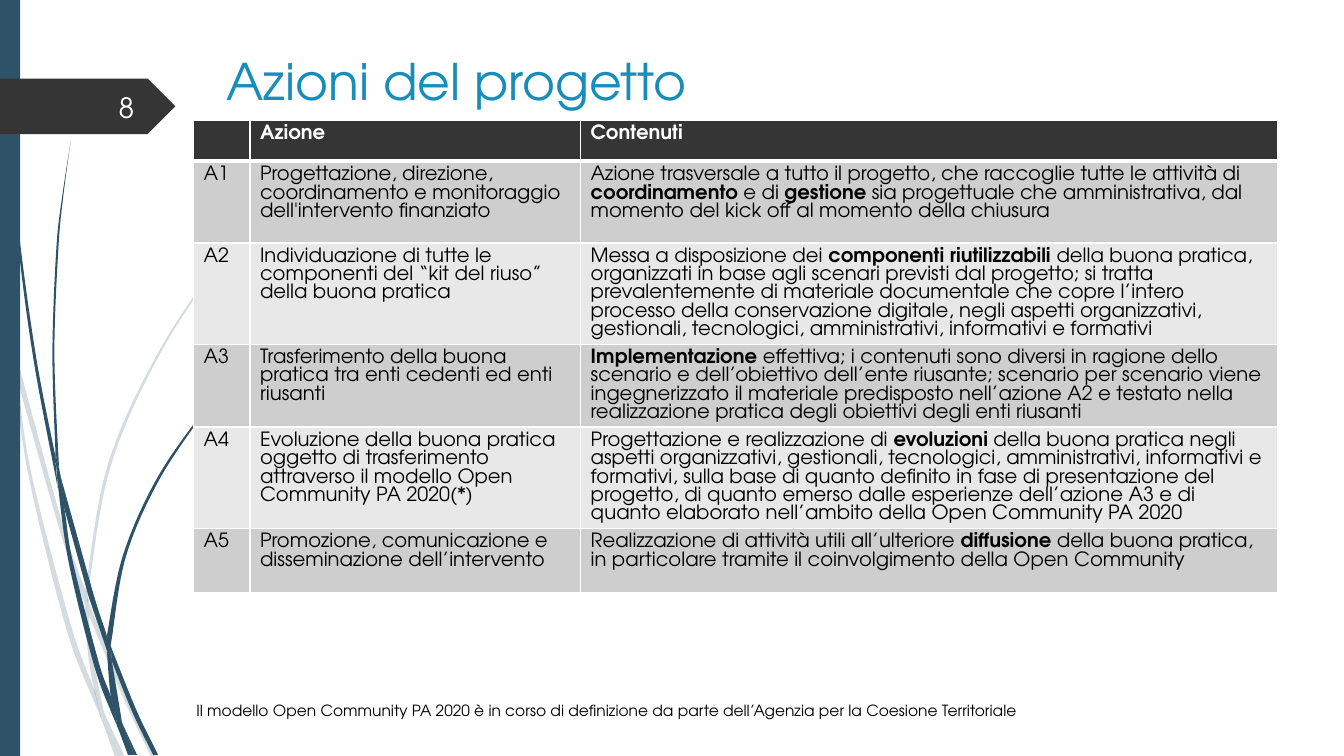
from lxml import etree
from pptx import Presentation
from pptx.dml.color import RGBColor
from pptx.enum.shapes import MSO_SHAPE
from pptx.enum.text import MSO_ANCHOR, MSO_AUTO_SIZE, PP_ALIGN
from pptx.oxml.ns import qn
from pptx.util import Emu, Pt

RECTANGLE, PENTAGON = MSO_SHAPE.RECTANGLE, MSO_SHAPE.PENTAGON
TOP, MIDDLE = MSO_ANCHOR.TOP, MSO_ANCHOR.MIDDLE
LEFT, RIGHT = PP_ALIGN.LEFT, PP_ALIGN.RIGHT
GROW = MSO_AUTO_SIZE.SHAPE_TO_FIT_TEXT
EMU_PER_PX = 9144
FONT = "TeX Gyre Adventor"
COLORS = {"grass": "2E5369", "dark": "353535", "title": "178DBB", "black": "000000",
          "white": "FFFFFF", "number": "FEFFFF", "odd": "CECECE", "even": "E8E8E8"}

PALE_BLADES = [
    ([(11, 350), (9, 322), (0, 282)], [(0, 299), (10, 344), (11, 350)]),
    ([(14, 345), (62, 520), (85, 586)], [(84, 599), (58, 522), (17, 376)]),
    ([(88, 596), (92, 607), (127, 692), (155, 751)], [(150, 751), (123, 694), (88, 610)]),
    ([(105, 711), (124, 751)], [(119, 751)]),
    ([(11, 350), (17, 376), (31, 469), (70, 619), (93, 683), (99, 707), (101, 714)],
     [(92, 693), (65, 621), (28, 470), (11, 350)]),
    ([(84, 599), (87, 646), (93, 683), (96, 692), (105, 711)],
     [(103, 706), (91, 646), (88, 610), (88, 608)]),
    ([(88, 596), (88, 584), (110, 462), (160, 349), (229, 245), (268, 198), (290, 175), (312, 154)],
     [(312, 153), (289, 175), (268, 197), (228, 244), (158, 348), (107, 461), (85, 584), (85, 586)]),
    ([(101, 714), (114, 751)], [(119, 751)]),
    ([(88, 608), (88, 610), (88, 596)], [(85, 586), (84, 599)]),
    ([(93, 683), (99, 707), (101, 714), (119, 751)], [(105, 711), (96, 692)]),
]
DARK_BLADES = [
    ([(3, 0), (4, 48), (7, 110), (17, 233), (33, 355), (56, 477), (57, 481)],
     [(55, 457), (55, 453), (36, 355), (19, 232), (8, 109), (5, 48), (4, 0)]),
    ([(60, 472), (93, 590), (106, 631), (106, 645)], [(88, 592), (64, 505)]),
    ([(110, 641), (113, 649), (136, 706), (157, 749)], [(152, 749), (132, 708), (111, 656)]),
    ([(57, 477), (64, 505), (72, 556), (98, 657), (110, 691), (116, 717), (117, 722)],
     [(111, 708), (93, 659), (68, 557), (57, 477)]),
    ([(70, 141), (63, 193), (58, 245), (54, 349), (58, 453), (60, 472)],
     [(55, 449), (52, 349), (56, 245), (62, 193), (70, 141)]),
    ([(122, 719), (136, 749)], [(133, 749)]),
    ([(57, 477), (64, 505), (60, 472)], [(55, 449), (55, 453)]),
    ([(106, 631), (122, 551), (156, 474), (204, 405), (231, 373), (245, 358), (260, 344)],
     [(261, 344), (245, 359), (231, 374), (205, 406), (158, 476), (125, 552), (111, 633), (110, 641)]),
    ([(117, 722), (127, 749)], [(131, 749)]),
    ([(106, 645), (110, 691), (116, 706), (122, 719)], [(121, 716), (111, 656), (109, 651)]),
    ([(106, 631), (110, 641), (111, 656)], [(109, 651), (106, 645)]),
    ([(110, 691), (116, 717), (117, 722), (130, 749)], [(133, 749), (122, 719), (116, 706)]),
]
COLUMN_WIDTHS = [56, 328, 692]
ROW_HEIGHTS = [41, 81, 57, 81, 58, 64]
ACTIONS = [
    ("", "**Azione**", "**Contenuti**"),
    ("A1", "Progettazione, direzione, coordinamento e monitoraggio dell'intervento finanziato",
     "Azione trasversale a tutto il progetto, che raccoglie tutte le attività di **coordinamento** "
     "e di **gestione** sia progettuale che amministrativa, dal momento del kick off al momento "
     "della chiusura"),
    ("A2", "Individuazione di tutte le componenti del “kit del riuso” della buona pratica",
     "Messa a disposizione dei **componenti riutilizzabili **della buona pratica, organizzati in "
     "base agli scenari previsti dal progetto; si tratta prevalentemente di materiale documentale "
     "che copre l’intero processo della conservazione digitale, negli aspetti organizzativi, "
     "gestionali, tecnologici, amministrativi, informativi e formativi"),
    ("A3", "Trasferimento della buona pratica tra enti cedenti ed enti riusanti",
     "**Implementazione** effettiva; i contenuti sono diversi in ragione dello scenario e "
     "dell’obiettivo dell’ente riusante; scenario per scenario viene ingegnerizzato il materiale "
     "predisposto nell’azione A2 e testato nella realizzazione pratica degli obiettivi degli enti "
     "riusanti"),
    ("A4", "Evoluzione della buona pratica oggetto di trasferimento attraverso il modello Open "
     "Community PA 2020(*)",
     "Progettazione e realizzazione di **evoluzioni** della buona pratica negli aspetti "
     "organizzativi, gestionali, tecnologici, amministrativi, informativi e formativi, sulla base "
     "di quanto definito in fase di presentazione del progetto, di quanto emerso dalle esperienze "
     "dell’azione A3 e di quanto elaborato nell’ambito della Open Community PA 2020"),
    ("A5", "Promozione, comunicazione e disseminazione dell’intervento",
     "Realizzazione di attività utili all’ulteriore **diffusione** della buona pratica, in "
     "particolare tramite il coinvolgimento della Open Community"),
]


def px(length):
    """Turn px into EMU."""
    return Emu(round(length * EMU_PER_PX))


def rgb(name):
    """Look up a named colour."""
    return RGBColor.from_string(COLORS[name])


def paint(shape, color):
    """Give a shape a flat fill without line or shadow."""
    shape.shadow.inherit = False
    shape.fill.solid()
    shape.fill.fore_color.rgb = rgb(color)
    shape.line.fill.background()


def bend(segment, a, b, c, d, origin):
    """Turn the straight segment from b to c into a curve that heeds its neighbours."""
    segment.tag = qn("a:cubicBezTo")
    controls = ([b[i] + (c[i] - a[i]) / 6 - origin[i] for i in (0, 1)],
                [c[i] - (d[i] - b[i]) / 6 - origin[i] for i in (0, 1)])
    for index, (x, y) in enumerate(controls):
        segment.insert(index, etree.Element(qn("a:pt"), x=str(px(x)), y=str(px(y))))


def add_blade(page, edges, opacity):
    """Draw one blade of grass between its two curved edges."""
    outline = edges[0] + edges[1]
    corners = [(px(x), px(y)) for x, y in outline]
    builder = page.shapes.build_freeform(*corners[0])
    builder.add_line_segments(corners[1:], close=True)
    blade = builder.convert_to_shape()
    origin = [min(values) for values in zip(*outline)]
    segments = list(blade._element.iter(qn("a:lnTo")))
    for edge, start in zip(edges, (0, len(edges[0]))):
        padded = [edge[0], *edge, edge[-1]]
        for index in range(len(edge) - 1):
            bend(segments[start + index], *padded[index:index + 4], origin)
    paint(blade, "grass")
    if opacity < 100:
        color = blade.fill._xPr.find(qn("a:solidFill"))[0]
        etree.SubElement(color, qn("a:alpha"), val=str(opacity * 1000))


def add_block(page, preset, left, top, width, height, color):
    """Draw a filled preset shape."""
    block = page.shapes.add_shape(preset, px(left), px(top), px(width), px(height))
    paint(block, color)


def style_span(span, size, color, bold=False):
    """Set the font of one run."""
    span.font.name = FONT
    span.font.size = Pt(size)
    span.font.bold = bold
    span.font.color.rgb = rgb(color)


def add_label(page, text, left, top, width, height, size, color,
              align=LEFT, anchor=TOP, wrap=True):
    """Place a one-line text box."""
    box = page.shapes.add_textbox(px(left), px(top), px(width), px(height))
    frame = box.text_frame
    frame.text = text
    frame.word_wrap = wrap
    frame.vertical_anchor = anchor
    if not wrap:
        frame.auto_size = GROW
    para = frame.paragraphs[0]
    para.alignment = align
    style_span(para.runs[0], size, color)


def add_border(cell, side, points):
    """Draw one white cell border."""
    line = etree.SubElement(cell._tc.get_or_add_tcPr(), qn(f"a:ln{side}"), w=str(Pt(points)))
    fill = etree.SubElement(line, qn("a:solidFill"))
    etree.SubElement(fill, qn("a:srgbClr"), val=COLORS["white"])


def fill_cell(cell, text, row):
    """Write and format one cell, with bold between double asterisks."""
    thick_side = {0: "B", 1: "T"}.get(row)
    for side in "LRTB":
        add_border(cell, side, 3 if side == thick_side else 1)
    cell.fill.solid()
    cell.fill.fore_color.rgb = rgb("dark" if row == 0 else "odd" if row % 2 else "even")
    para = cell.text_frame.paragraphs[0]
    para.line_spacing = Pt(13)
    for index, part in enumerate(text.split("**")):
        if part:
            span = para.add_run()
            span.text = part
            style_span(span, 14, "white" if row == 0 else "black", index % 2 == 1)


def add_actions(page, left, top):
    """Build the table of actions."""
    table = page.shapes.add_table(len(ROW_HEIGHTS), len(COLUMN_WIDTHS), px(left), px(top),
                                  px(sum(COLUMN_WIDTHS)), px(sum(ROW_HEIGHTS))).table
    for column, width in zip(table.columns, COLUMN_WIDTHS):
        column.width = px(width)
    for row, height in enumerate(ROW_HEIGHTS):
        table.rows[row].height = px(height)
        for column, text in enumerate(ACTIONS[row]):
            fill_cell(table.cell(row, column), text, row)


def main():
    """Build the slide and save it."""
    deck = Presentation()
    deck.slide_height = px(750)
    deck.slide_width = deck.slide_height * 16 // 9
    page = deck.slides.add_slide(deck.slide_layouts[6])
    for blades, opacity in ((PALE_BLADES, 20), (DARK_BLADES, 100)):
        for edges in blades:
            add_blade(page, edges, opacity)
    add_block(page, RECTANGLE, 0, 0, 20, 750, "grass")
    add_block(page, PENTAGON, 0, 78, 174, 55, "dark")
    add_label(page, "Azioni del progetto", 215, 45, 1079, 102, 36, "title")
    add_actions(page, 192, 119)
    add_label(page, "Il modello Open Community PA 2020 è in corso di definizione da parte "
              "dell’Agenzia per la Coesione Territoriale", 185, 691, 844, 29, 11, "black", wrap=False)
    add_label(page, "8", 58, 86, 85, 40, 20, "number", RIGHT, MIDDLE)
    deck.save("out.pptx")


if __name__ == "__main__":
    main()
